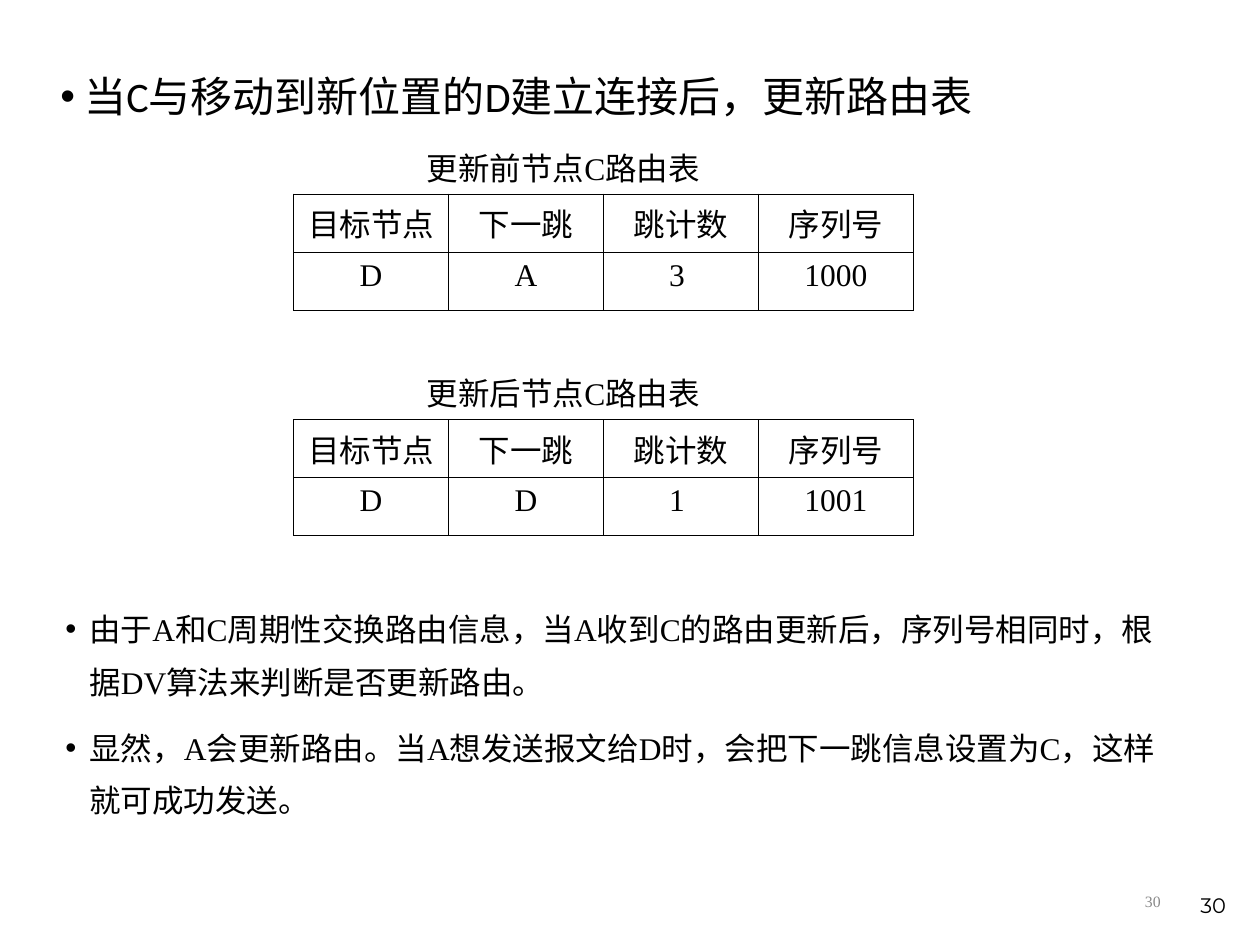
from lxml.etree import SubElement
from pptx import Presentation
from pptx.dml.color import RGBColor
from pptx.enum.text import MSO_ANCHOR as ANCHOR, MSO_AUTO_SIZE as AUTO, PP_ALIGN as ALIGN
from pptx.oxml.ns import qn
from pptx.util import Inches, Pt

BLACK, GREY = "000000", "898989"


def style(p, size, font, color=BLACK):
    for r in p.runs:
        r.font.size, r.font.name = Pt(size), font
        r.font.color.rgb = RGBColor.from_string(color)


def bullet(p, line_spacing, space_before):
    p.line_spacing, p.space_before = line_spacing, Pt(space_before)
    pPr = p._p.get_or_add_pPr()
    pPr.set("marL", str(Inches(0.19)))
    pPr.set("indent", str(Inches(-0.19)))
    pPr.set("hangingPunct", "0")
    SubElement(SubElement(pPr, qn("a:buClr")), qn("a:srgbClr"), val=BLACK)
    SubElement(pPr, qn("a:buFont"), typeface="Arial")
    SubElement(pPr, qn("a:buChar"), char="•")


prs = Presentation()
prs.slide_width, prs.slide_height = Inches(10), Inches(7.5)
s = prs.slides.add_slide(prs.slide_layouts[1])
title, body = s.placeholders
title.element.getparent().remove(title.element)

# Heading bullet
body.left, body.top, body.width, body.height = map(Inches, (0.38, 0.59, 8.25, 0.5))
tf = body.text_frame
tf.auto_size = AUTO.NONE
p = tf.paragraphs[0]
p.text = "当C与移动到新位置的D建立连接后，更新路由表"
bullet(p, 0.8, 0)
style(p, 24, "Calibri")

# Routing tables, each with its caption above
HEADER = ["目标节点", "下一跳", "跳计数", "序列号"]
COL, ROW = 1.23, 0.46
tables = [
    (1.54, "更新前节点C路由表", ["D", "A", "3 ", "1000"]),
    (3.33, "更新后节点C路由表", ["D", "D", "1 ", "1001"]),
]
for top, caption, route in tables:
    tf = s.shapes.add_textbox(*map(Inches, (3.29, top - 0.41, 2.6, 0.4))).text_frame
    tf.word_wrap = True
    tf.text = caption
    style(tf.paragraphs[0], 18, "Times New Roman")

    size = map(Inches, (2.33, top, 4 * COL, 2 * ROW))
    table = s.shapes.add_table(2, 4, *size).table
    table.first_row = table.horz_banding = False
    for row, texts in enumerate([HEADER, route]):
        for col, text in enumerate(texts):
            cell = table.cell(row, col)
            cell.text = text
            p = cell.text_frame.paragraphs[0]
            p.alignment = ALIGN.CENTER
            style(p, 18, "Arial" if text == HEADER[-1] else "Times New Roman")
            tcPr = cell._tc.get_or_add_tcPr()
            for side in ("lnL", "lnR", "lnT", "lnB"):
                ln = SubElement(tcPr, qn(f"a:{side}"), w=str(Pt(0.45)))
                SubElement(SubElement(ln, qn("a:solidFill")), qn("a:srgbClr"), val=BLACK)
            cell.fill.background()

# Conclusions
tf = s.shapes.add_textbox(*map(Inches, (0.42, 4.67, 8.92, 1.92))).text_frame
tf.word_wrap = True
tf.text = (
    "由于A和C周期性交换路由信息，当A收到C的路由更新后，序列号相同时，根据DV算法来判断是否更新路由。\n"
    "显然，A会更新路由。当A想发送报文给D时，会把下一跳信息设置为C，这样就可成功发送。"
)
for p, space_before in zip(tf.paragraphs, (0, 7.5)):
    bullet(p, 1.4, space_before)
    style(p, 18, "Times New Roman")

# Page numbers
numbers = [
    ((7.06, 6.95, 2.25, 0.4), ANCHOR.MIDDLE, 9, "Times New Roman", GREY),
    ((7.5, 6.83, 2.33, 0.5), ANCHOR.BOTTOM, 12, "Montserrat", BLACK),
]
for box, anchor, size, font, color in numbers:
    tf = s.shapes.add_textbox(*map(Inches, box)).text_frame
    tf.word_wrap, tf.vertical_anchor = True, anchor
    tf.text = "30"
    tf.paragraphs[0].alignment = ALIGN.RIGHT
    style(tf.paragraphs[0], size, font, color)

prs.save("out.pptx")
